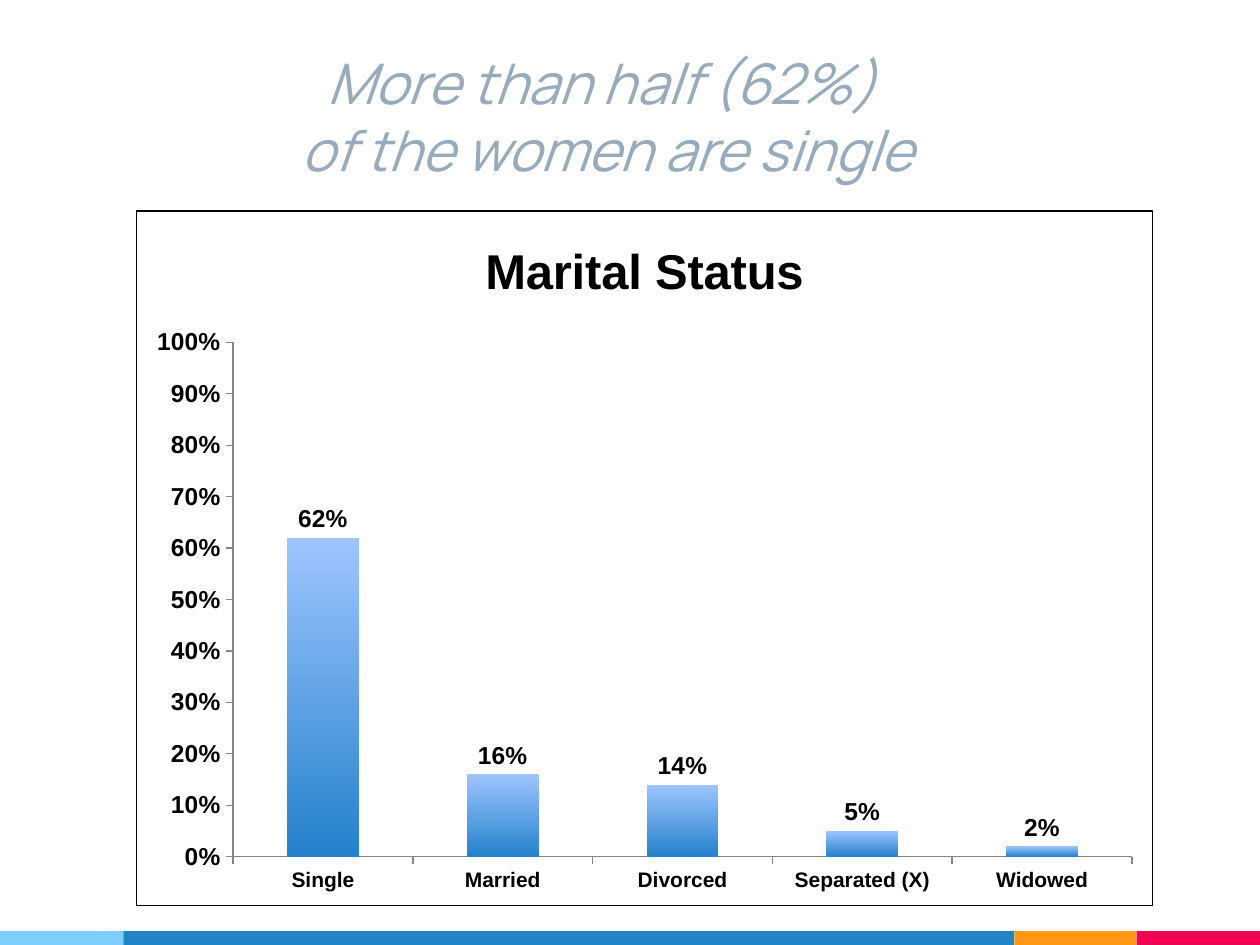
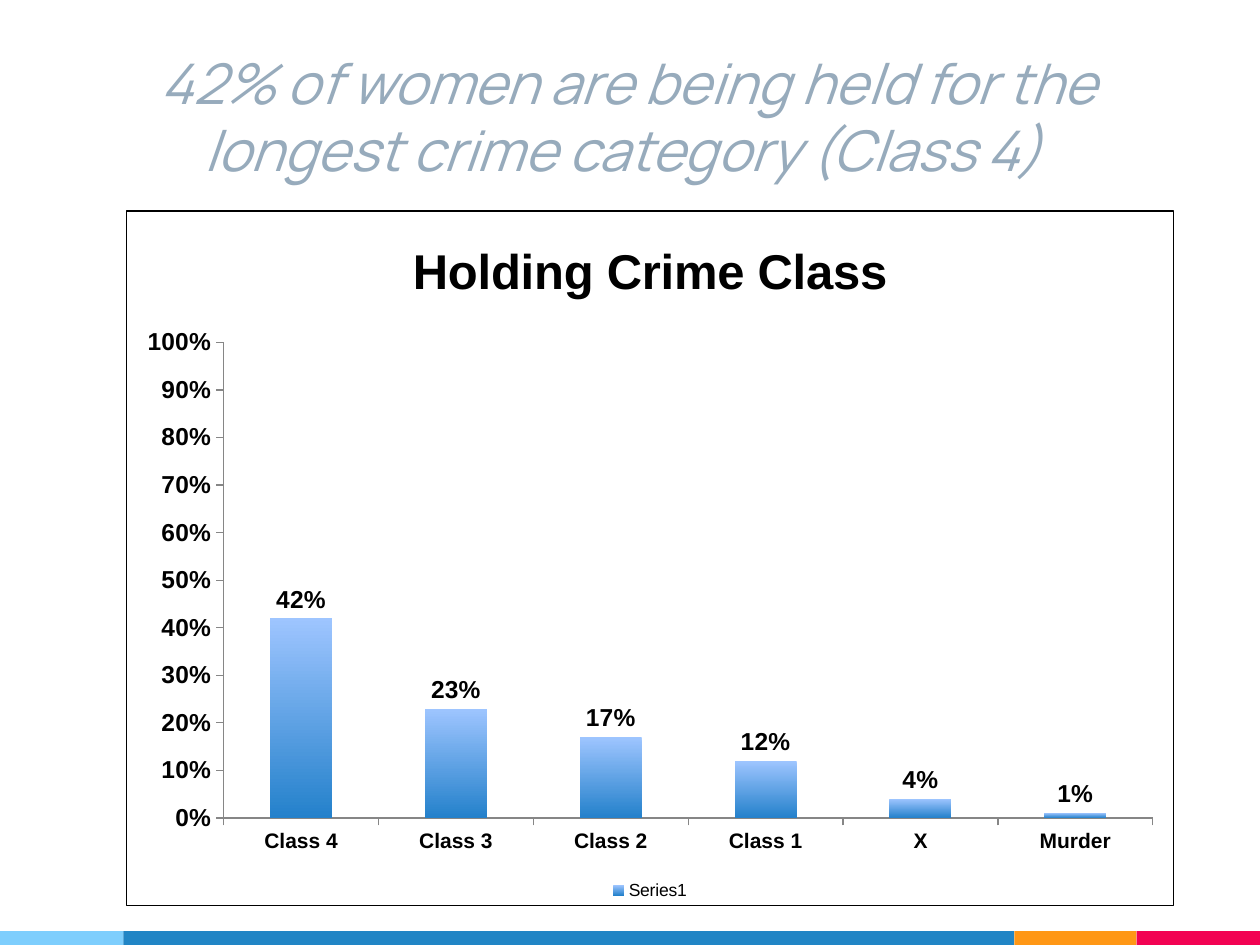
from lxml.etree import SubElement
from pptx import Presentation
from pptx.chart.data import CategoryChartData
from pptx.dml.color import RGBColor
from pptx.enum.chart import (XL_CHART_TYPE, XL_LABEL_POSITION,
                             XL_LEGEND_POSITION, XL_TICK_MARK)
from pptx.enum.shapes import MSO_SHAPE
from pptx.enum.text import MSO_ANCHOR, MSO_AUTO_SIZE, PP_ALIGN
from pptx.oxml import parse_xml
from pptx.oxml.ns import nsdecls, qn
from pptx.util import Inches, Pt

# Colours and fonts
SKY = RGBColor(0x7E, 0xCE, 0xFD)
BLUE = RGBColor(0x21, 0x85, 0xC5)
ORANGE = RGBColor(0xFF, 0x97, 0x15)
RED = RGBColor(0xF2, 0x02, 0x53)
TITLE_GREY = RGBColor(0x97, 0xAB, 0xBC)
AXIS_GREY = RGBColor(0x86, 0x86, 0x86)
BAR_TOP = RGBColor(0x9E, 0xC5, 0xFF)
BAR_BOTTOM = RGBColor(0x24, 0x81, 0xCB)
BLACK = RGBColor(0, 0, 0)
TITLE_FONT = "Manrope"
CHART_FONT = "Arial"

# Footer band: colour and width of each segment, left to right
BAND = [(SKY, 0.98), (BLUE, 7.07), (ORANGE, 0.97), (RED, 0.98)]
BAND_TOP, BAND_HEIGHT = 7.39, 0.11


class DeckBuilder:
    def __init__(self):
        self.deck = Presentation()
        self.deck.slide_width = Inches(10)
        self.deck.slide_height = Inches(7.5)
        self.layout = self.deck.slide_layouts[5]
        self.page = None

    def add_page(self):
        self.page = self.deck.slides.add_slide(self.layout)

    def add_band(self):
        """Draw the footer band and move it to the shared layout."""
        left = 0
        for number, (color, width) in enumerate(BAND):
            segment = self.page.shapes.add_shape(
                MSO_SHAPE.RECTANGLE, Inches(left), Inches(BAND_TOP),
                Inches(width), Inches(BAND_HEIGHT))
            segment.shadow.inherit = False
            segment.fill.solid()
            segment.fill.fore_color.rgb = color
            segment.line.fill.background()
            segment.element.nvSpPr.cNvPr.set("id", str(100 + number))
            self.layout.shapes.element.append(segment.element)
            left += width

    def add_title(self, lines, width):
        box = self.page.shapes.title
        box.left, box.top = Inches(0.98), Inches(0.3)
        box.width, box.height = Inches(width), Inches(1.25)
        frame = box.text_frame
        frame.word_wrap = True
        frame.auto_size = MSO_AUTO_SIZE.NONE
        frame.vertical_anchor = MSO_ANCHOR.BOTTOM
        frame.margin_left = frame.margin_right = Inches(0.1)
        frame.margin_top = frame.margin_bottom = Inches(0.1)
        para = frame.paragraphs[0]
        para.alignment = PP_ALIGN.CENTER
        for number, line in enumerate(lines):
            if number:
                para.add_line_break()
            span = para.add_run()
            span.text = line
            self.style(span.font, 32, TITLE_FONT, TITLE_GREY, italic=True)

    def add_chart(self, title, shares, left, width, series="Series1",
                  legend=False):
        data = CategoryChartData(number_format="0%")
        data.categories = list(shares)
        data.add_series(series, list(shares.values()))
        chart = self.page.shapes.add_chart(
            XL_CHART_TYPE.COLUMN_CLUSTERED, Inches(left), Inches(1.67),
            Inches(width), Inches(5.52), data).chart
        self.style(chart.font, 10, CHART_FONT, BLACK)
        self.add_border(chart)

        # Chart title and legend
        chart.has_title = True
        chart.chart_title.include_in_layout = False
        span = chart.chart_title.text_frame.paragraphs[0].add_run()
        span.text = title
        self.style(span.font, 28, CHART_FONT, BLACK, bold=True)
        chart.has_legend = legend
        if legend:
            chart.legend.position = XL_LEGEND_POSITION.BOTTOM
            chart.legend.include_in_layout = False

        # Axes
        for axis, size in ((chart.category_axis, 12), (chart.value_axis, 14)):
            axis.has_major_gridlines = False
            axis.major_tick_mark = XL_TICK_MARK.OUTSIDE
            axis.minor_tick_mark = XL_TICK_MARK.NONE
            axis.format.line.color.rgb = AXIS_GREY
            axis.format.line.width = Pt(0.75)
            self.style(axis.tick_labels.font, size, CHART_FONT, BLACK, bold=True)
        scale = chart.value_axis
        scale.minimum_scale, scale.maximum_scale = 0, 1
        scale.major_unit = 0.1
        scale.tick_labels.number_format = "0%"
        scale.tick_labels.number_format_is_linked = False

        # Bars and their labels
        plot = chart.plots[0]
        plot.gap_width = 150
        plot.vary_by_categories = False
        fill = plot.series[0].format.fill
        fill.gradient()
        fill.gradient_angle = 270
        for stop, color in zip(fill.gradient_stops, (BAR_TOP, BAR_BOTTOM)):
            stop.color.rgb = color
        labels = plot.series[0].data_labels
        labels.show_value = True
        labels.position = XL_LABEL_POSITION.OUTSIDE_END
        labels.number_format = "0%"
        labels.number_format_is_linked = False
        self.style(labels.font, 14, CHART_FONT, BLACK, bold=True)

    @staticmethod
    def add_border(chart):
        frame = parse_xml(f"<c:spPr {nsdecls('c', 'a')}/>")
        SubElement(frame, qn("a:noFill"))
        line = SubElement(frame, qn("a:ln"), w=str(Pt(0.75)))
        fill = SubElement(line, qn("a:solidFill"))
        SubElement(fill, qn("a:srgbClr"), val=str(BLACK))
        chart.element.find(qn("c:txPr")).addprevious(frame)

    @staticmethod
    def style(font, size, name, color, bold=False, italic=False):
        font.size = Pt(size)
        font.name = name
        font.bold = bold
        font.italic = italic
        font.color.rgb = color


def main():
    builder = DeckBuilder()

    # Marital status
    builder.add_page()
    builder.add_band()
    builder.add_title(["More than half (62%) ", "of the women are single"], 7.69)
    marital_status = {"Single": 0.62, "Married": 0.16, "Divorced": 0.14,
                      "Separated (X)": 0.05, "Widowed": 0.02}
    builder.add_chart("Marital Status", marital_status, 1.08, 8.07,
                      series="Series 1")

    # Holding crime class
    builder.add_page()
    builder.add_title(["42% of women are being held for the longest crime "
                       "category (Class 4) "], 8.02)
    crime_class = {"Class 4": 0.42, "Class 3": 0.23, "Class 2": 0.17,
                   "Class 1": 0.12, "X": 0.04, "Murder": 0.01}
    builder.add_chart("Holding Crime Class", crime_class, 1, 8.32, legend=True)

    builder.deck.save("out.pptx")


if __name__ == "__main__":
    main()
